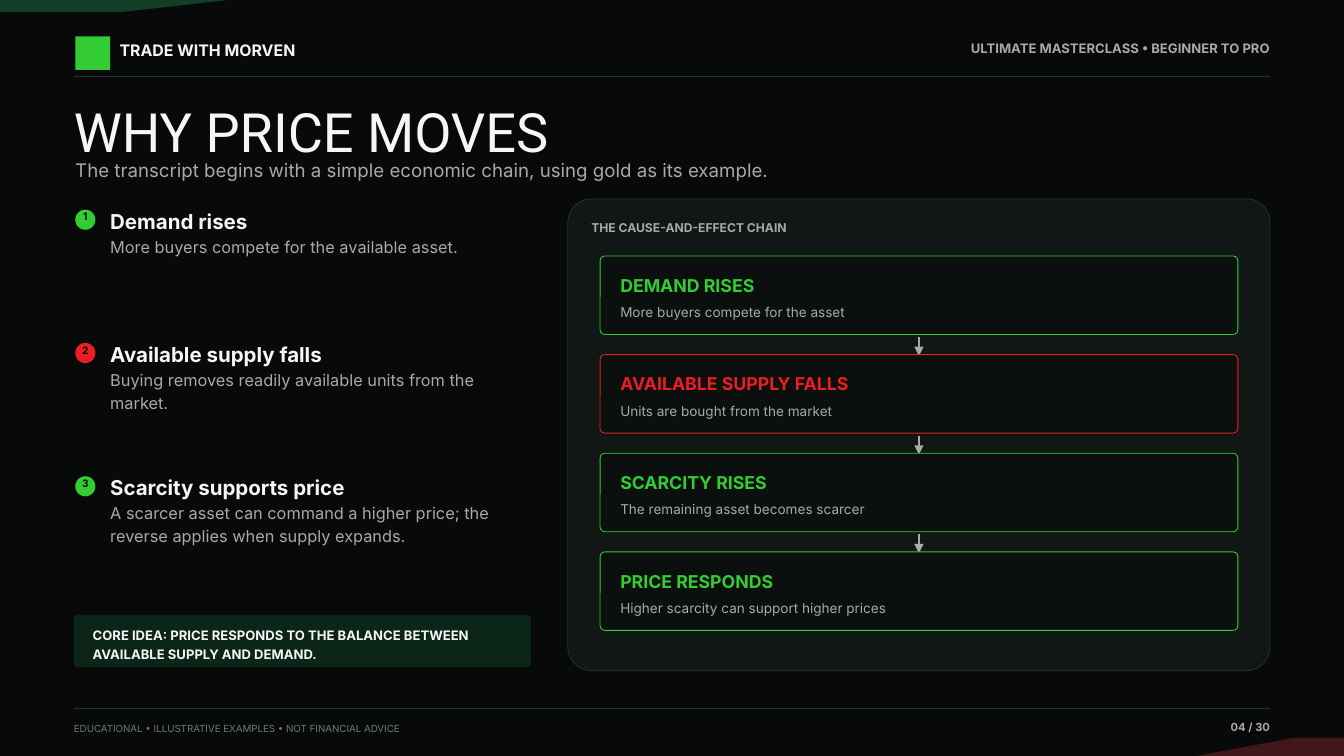
from dataclasses import dataclass

from lxml import etree
from pptx import Presentation
from pptx import util as u
from pptx.dml import color
from pptx.enum import shapes, text
from pptx.oxml import ns

Inches = u.Inches
LEFT, RIGHT, CENTER = text.PP_ALIGN.LEFT, text.PP_ALIGN.RIGHT, text.PP_ALIGN.CENTER
RECT, OVAL = shapes.MSO_SHAPE.RECTANGLE, shapes.MSO_SHAPE.OVAL
ROUNDED = shapes.MSO_SHAPE.ROUNDED_RECTANGLE


@dataclass(frozen=True)
class Box:
    left: float
    top: float
    width: float
    height: float

    @property
    def right(self):
        return self.left + self.width

    @property
    def bottom(self):
        return self.top + self.height

    def inches(self):
        return [Inches(v) for v in (self.left, self.top, self.width, self.height)]

    def inset(self, dx, dy, height):
        return Box(self.left + dx, self.top + dy, self.width - 2 * dx, height)

    def rows(self, count, gap=0):
        height = (self.height - gap * (count - 1)) / count
        return [Box(self.left, self.top + i * (height + gap), self.width, height)
                for i in range(count)]


class Theme:
    page, panel, card, callout = "070A09", "111715", "0B100E", "0C2519"
    rule, white, gray, faint = "28332E", "F5F7F6", "A6AAA8", "6F7873"
    green, red, dark_green, dark_red = "33CC33", "ED1C24", "123D26", "42171B"
    styles = {
        "brand": dict(size=17, color=white, bold=True),
        "course": dict(size=14, color=gray, bold=True),
        "disclaimer": dict(size=10.5, color=faint),
        "page_number": dict(size=12, color=gray, bold=True),
        "title": dict(size=58, color=white, name="Roboto"),
        "subtitle": dict(size=20, color=gray),
        "badge": dict(size=11, color=page, bold=True),
        "point": dict(size=22, color=white, bold=True),
        "detail": dict(size=17.5, color=gray),
        "core": dict(size=14, color=white, bold=True),
        "caption": dict(size=13, color=gray, bold=True),
        "step": dict(size=19, color=white, bold=True),
        "effect": dict(size=14.5, color=gray),
    }


def rgb(value):
    return color.RGBColor.from_string(value)


def write(slide, box, style, *lines, align=LEFT, tint=None, spacing=1.18):
    frame = slide.shapes.add_textbox(*box.inches()).text_frame
    frame_format = dict(margin_left=0, margin_top=0, margin_right=0,
                        margin_bottom=0, word_wrap=True)
    for key, value in frame_format.items():
        setattr(frame, key, value)
    look = {"name": "Inter", "bold": False, **Theme.styles[style]}
    ink = tint or look.pop("color")
    look.pop("color", None)
    look["size"] = u.Pt(look["size"])
    for i, line in enumerate(lines):
        paragraph = frame.paragraphs[0] if i == 0 else frame.add_paragraph()
        paragraph.alignment = align
        paragraph.line_spacing = spacing
        run = paragraph.add_run()
        run.text = line
        for key, value in look.items():
            setattr(run.font, key, value)
        run.font.color.rgb = rgb(ink)


def paint(shape, fill, line=None, weight=0.8):
    shape.shadow.inherit = False
    shape.fill.solid()
    shape.fill.fore_color.rgb = rgb(fill)
    if line:
        shape.line.color.rgb = rgb(line)
        shape.line.width = u.Pt(weight)
    else:
        shape.line.fill.background()


def block(slide, kind, box, fill, line=None, weight=0.8, radius=None):
    shape = slide.shapes.add_shape(kind, *box.inches())
    paint(shape, fill, line, weight)
    if radius is not None:
        shape.adjustments[0] = radius


def wedge(slide, fill, *points):
    corners = [(Inches(x), Inches(y)) for x, y in points]
    builder = slide.shapes.build_freeform(*corners[0])
    builder.add_line_segments(corners[1:], close=True)
    paint(builder.convert_to_shape(), fill)


def connect(slide, start, end, ink, weight, arrow=False):
    ends = [Inches(v) for v in (*start, *end)]
    line = slide.shapes.add_connector(shapes.MSO_CONNECTOR.STRAIGHT, *ends)
    line.line.color.rgb = rgb(ink)
    line.line.width = u.Pt(weight)
    if arrow:
        head = etree.SubElement(line.line._get_or_add_ln(), ns.qn("a:tailEnd"))
        for key, value in dict(type="triangle", w="lg", len="lg").items():
            head.set(key, value)
    etree.SubElement(line._element.spPr, ns.qn("a:effectLst"))


def backdrop(slide, box):
    block(slide, RECT, box, Theme.page)
    wedge(slide, Theme.dark_green, (0, 0), (3.4, 0), (1.8, 0.18), (0, 0.18))
    wedge(slide, Theme.dark_red, (box.right, box.bottom), (17.8, box.bottom),
          (19.25, 10.98), (box.right, 10.98))


def header(slide, box):
    block(slide, RECT, Box(box.left + 0.02, 0.54, 0.52, 0.5), Theme.green)
    write(slide, Box(box.left + 0.68, box.top, 3.9, 0.34), "brand", "TRADE WITH MORVEN")
    write(slide, Box(box.right - 4.9, box.top, 4.9, 0.32), "course",
          "ULTIMATE MASTERCLASS • BEGINNER TO PRO", align=RIGHT)
    connect(slide, (box.left, box.bottom), (box.right, box.bottom), Theme.rule, 0.8)


def footer(slide, box):
    connect(slide, (box.left, box.top), (box.right, box.top), Theme.rule, 0.8)
    write(slide, Box(box.left, box.top + 0.18, 8, 0.25), "disclaimer",
          "EDUCATIONAL • ILLUSTRATIVE EXAMPLES • NOT FINANCIAL ADVICE")
    write(slide, Box(box.right - 1.7, box.top + 0.14, 1.7, 0.28), "page_number",
          "04 / 30", align=RIGHT)


def heading(slide, box):
    write(slide, Box(box.left, box.top, box.width, 0.88), "title",
          "WHY PRICE MOVES", spacing=1)
    write(slide, Box(box.left + 0.02, box.top + 0.84, 17.2, 0.43), "subtitle",
          "The transcript begins with a simple economic chain, using gold as its example.")


def key_points(slide, box, points):
    for number, (row, (tint, point, *details)) in enumerate(
            zip(box.rows(len(points)), points), 1):
        block(slide, OVAL, Box(row.left, row.top + 0.08, 0.3, 0.3), tint)
        write(slide, Box(row.left + 0.02, row.top + 0.06, 0.26, 0.23), "badge",
              str(number), align=CENTER)
        words = Box(row.left + 0.52, row.top, row.width - 0.52, 0.36)
        write(slide, words, "point", point)
        write(slide, words.inset(0, 0.43, 1.5), "detail", *details)


def core_idea(slide, box):
    block(slide, ROUNDED, box, Theme.callout, radius=0.08)
    write(slide, box.inset(0.28, 0.15, 0.42), "core",
          "CORE IDEA: PRICE RESPONDS TO THE BALANCE BETWEEN",
          "AVAILABLE SUPPLY AND DEMAND.")


def cause_chain(slide, box, steps):
    block(slide, ROUNDED, box, Theme.panel, Theme.rule, radius=0.05)
    write(slide, box.inset(0.35, 0.28, 0.32), "caption", "THE CAUSE-AND-EFFECT CHAIN")
    cards = box.inset(0.48, 0.85, 5.57).rows(len(steps), gap=0.3)
    for i, (card, (tint, step, effect)) in enumerate(zip(cards, steps)):
        if i:
            middle = card.left + card.width / 2
            connect(slide, (middle, card.top - 0.26), (middle, card.top + 0.02),
                    Theme.gray, 1.4, arrow=True)
        block(slide, ROUNDED, card, Theme.card, tint, 0.9, radius=0.06)
        write(slide, card.inset(0.3, 0.22, 0.34), "step", step, tint=tint)
        write(slide, card.inset(0.3, 0.67, 0.4), "effect", effect)


def main():
    deck = Presentation()
    deck.slide_width, deck.slide_height = Inches(20), Inches(11.25)
    slide = deck.slides.add_slide(deck.slide_layouts[6])
    backdrop(slide, Box(0, 0, 20, 11.25))
    header(slide, Box(1.1, 0.56, 17.8, 0.57))
    footer(slide, Box(1.1, 10.54, 17.8, 0.43))
    heading(slide, Box(1.1, 1.46, 17.8, 1.27))
    key_points(slide, Box(1.12, 3.04, 6.75, 5.95), [
        (Theme.green, "Demand rises", "More buyers compete for the available asset."),
        (Theme.red, "Available supply falls",
         "Buying removes readily available units from the", "market."),
        (Theme.green, "Scarcity supports price",
         "A scarcer asset can command a higher price; the",
         "reverse applies when supply expands."),
    ])
    core_idea(slide, Box(1.1, 9.15, 6.8, 0.78))
    cause_chain(slide, Box(8.45, 2.96, 10.45, 7.02), [
        (Theme.green, "DEMAND RISES", "More buyers compete for the asset"),
        (Theme.red, "AVAILABLE SUPPLY FALLS", "Units are bought from the market"),
        (Theme.green, "SCARCITY RISES", "The remaining asset becomes scarcer"),
        (Theme.green, "PRICE RESPONDS", "Higher scarcity can support higher prices"),
    ])
    deck.save("out.pptx")


if __name__ == "__main__":
    main()
